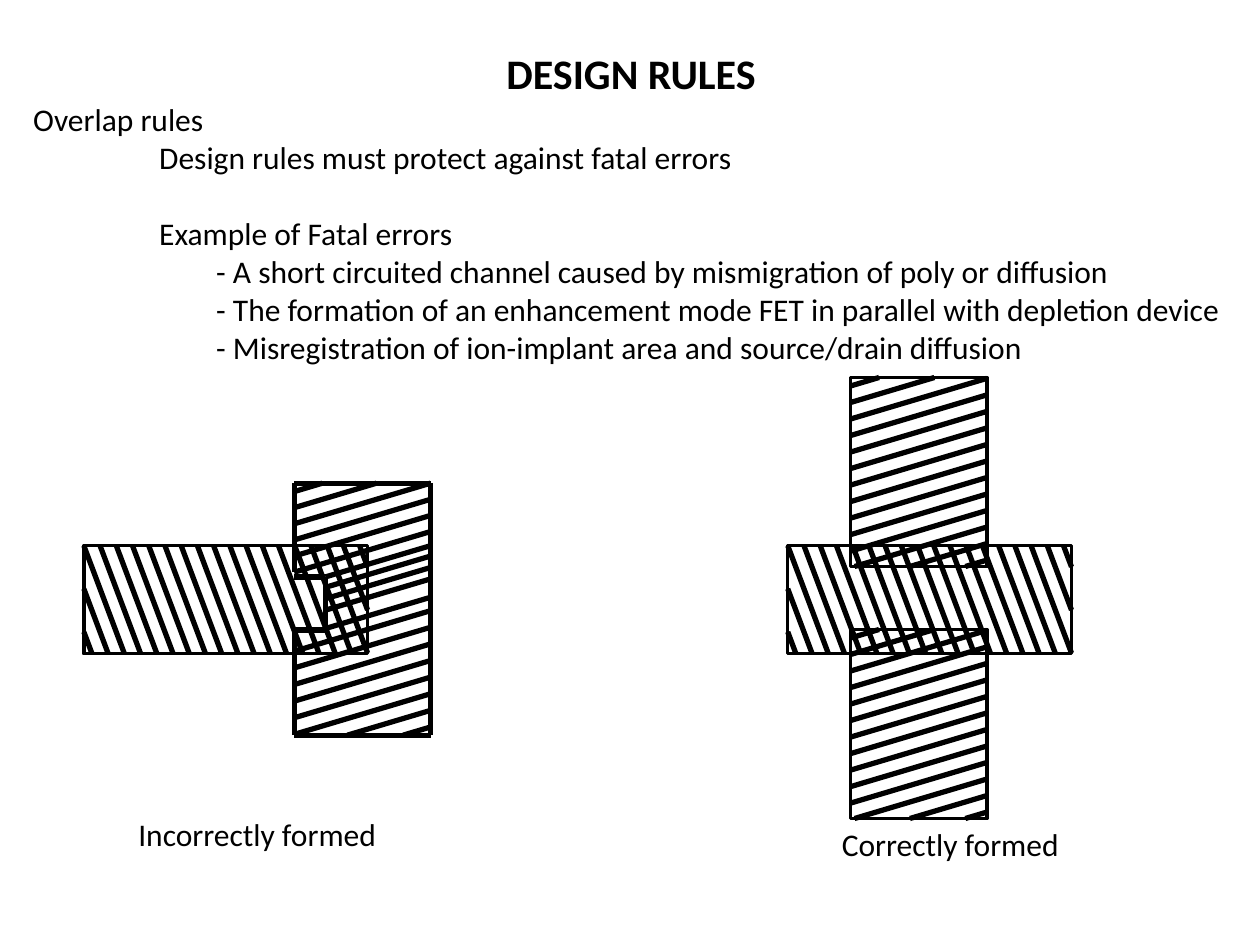
"""Build the slide on overlap design rules with two hatched transistor layouts."""
import itertools

import pptx
import pptx.dml.color
import pptx.enum.shapes
import pptx.oxml.ns
import pptx.util
from lxml import etree

Cm = pptx.util.Cm
Pt = pptx.util.Pt
COLORS = {"ink": "000000"}
FONT = "Calibri"


def rgb(name):
    return pptx.dml.color.RGBColor.from_string(COLORS[name])


def write(p, text, size=18, bold=False, indent=0, before=0):
    r = p.add_run()
    r.text = text
    r.font.name = FONT
    r.font.size = Pt(size)
    r.font.bold = bold
    r.font.color.rgb = rgb("ink")
    p.space_before = Pt(before)
    pPr = p._p.get_or_add_pPr()
    pPr.set("marL", str(Cm(indent)))
    pPr.set("indent", "0")


def clip(box, start, dx, dy):
    x, y, w, h = box
    t0, t1 = 0, 1
    for a, d, low, high in ((start[0], dx, x, x + w), (start[1], dy, y, y + h)):
        near, far = sorted(((low - a) / d, (high - a) / d))
        t0, t1 = max(t0, near), min(t1, far)
    return [(start[0] + dx * t, start[1] + dy * t) for t in (t0, t1)]


class Sketch:
    def __init__(self, slide):
        self.shapes = slide.shapes

    def text(self, x, y, w, h, lines):
        tf = self.shapes.add_textbox(Cm(x), Cm(y), Cm(w), Cm(h)).text_frame
        tf.word_wrap = True
        for i, (text, style) in enumerate(lines):
            p = tf.add_paragraph() if i else tf.paragraphs[0]
            write(p, text, **style)

    def line(self, start, end, width=3):
        ends = [Cm(v) for v in (*start, *end)]
        sp = self.shapes.add_connector(pptx.enum.shapes.MSO_CONNECTOR.STRAIGHT, *ends)
        sp.line.color.rgb = rgb("ink")
        sp.line.width = Pt(width)
        etree.SubElement(sp._element.spPr, pptx.oxml.ns.qn("a:effectLst"))

    def frame(self, box):
        sp = self.shapes.add_shape(pptx.enum.shapes.MSO_SHAPE.RECTANGLE, *map(Cm, box))
        sp.shadow.inherit = False
        sp.fill.background()
        sp.line.color.rgb = rgb("ink")
        sp.line.width = Pt(2)

    def hatch(self, box, starts, dx, dy):
        for start in starts:
            self.line(*clip(box, start, dx, dy))

    def diffusion(self, x):
        box = (x, 11, 5.72, 2.18)
        self.frame(box)
        self.hatch(box, [(x + 0.327 * i, 11) for i in range(-2, 18)], 0.82, 2.18)

    def poly(self, y):
        box = (17.15, y, 2.75, 3.81)
        self.frame(box)
        self.hatch(box, [(17.15, y + 0.17 + 0.333 * i) for i in range(14)], 2.75, -0.82)

    def notched_poly(self):
        left, notch, right, top, bottom = 5.93, 6.56, 8.68, 9.74, 14.82
        box = (left, top, right - left, bottom - top)
        upper = [(left, 9.91 + 0.325 * i) for i in range(6)]
        lower = [(left, 13.13 + 0.335 * i) for i in range(8)]
        self.hatch(box, upper + lower, right - left, -0.82)
        middle = [(notch, y) for y in (11.63, 11.84, 12.07, 12.3, 12.67)]
        self.hatch(box, middle, right - notch, -0.63)
        outline = [(left, 11.53), (left, top), (right, top), (right, bottom),
                   (left, bottom), (left, 12.7), (notch, 12.7),
                   (notch, 11.63), (left, 11.63)]
        for start, end in itertools.pairwise(outline):
            self.line(start, end)


prs = pptx.Presentation()
prs.slide_width, prs.slide_height = Cm(25.4), Cm(19.05)
s = Sketch(prs.slides.add_slide(prs.slide_layouts[6]))

s.text(9.96, 0.84, 5.72, 1.27, [("DESIGN RULES", {"size": 24, "bold": True})])
topic, detail = {"indent": 2.54}, {"indent": 3.69}
s.text(0.42, 1.9, 24.98, 6.4, [
    ("Overlap rules", {}),
    ("Design rules must protect against fatal errors", topic),
    ("Example of Fatal errors", {**topic, "before": 22}),
    ("- A short circuited channel caused by mismigration of poly or diffusion", detail),
    ("- The formation of an enhancement mode FET in parallel with depletion device", detail),
    ("- Misregistration of ion-implant area and source/drain diffusion", detail),
])

for x in (15.88, 1.69):
    s.diffusion(x)
for y in (7.61, 12.69):
    s.poly(y)
s.notched_poly()

for x, y, caption in ((2.54, 16.3, "Incorrectly formed"), (16.72, 16.51, "Correctly formed")):
    s.text(x, y, 6.35, 1.02, [(caption, {})])

prs.save("out.pptx")
